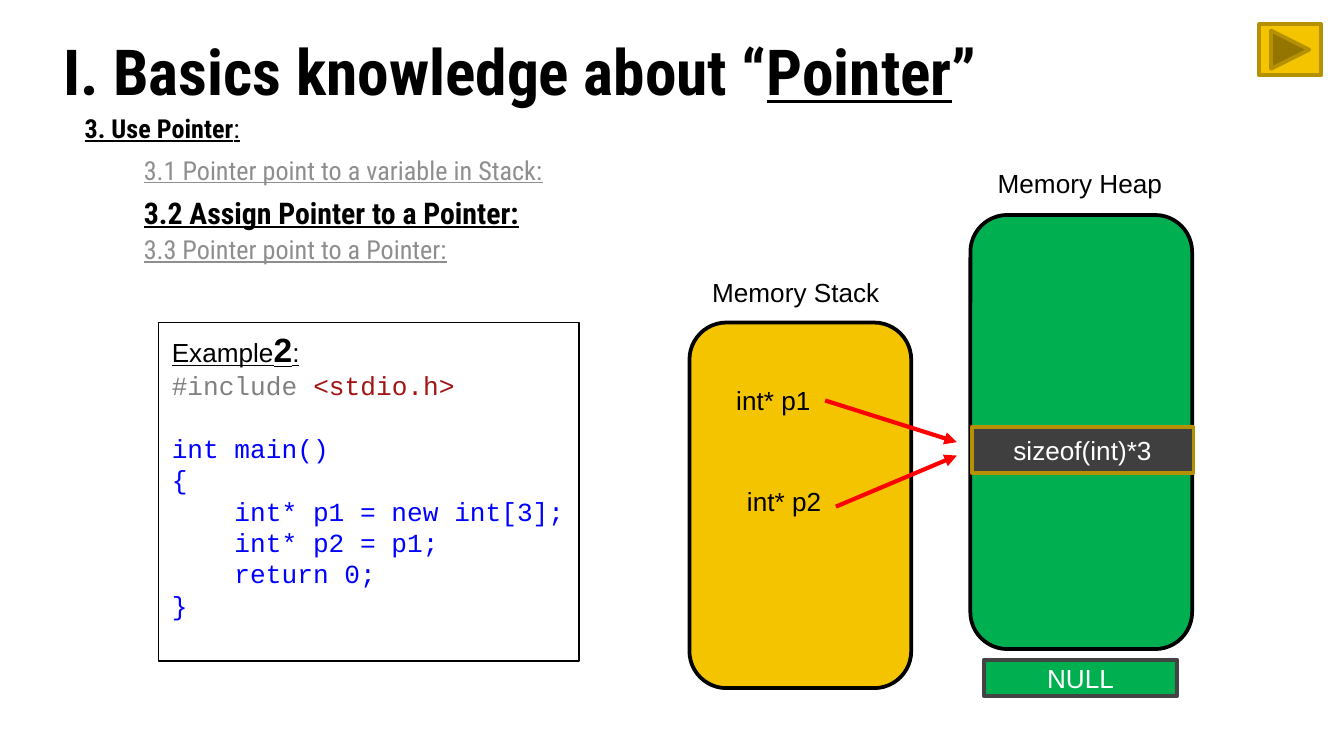
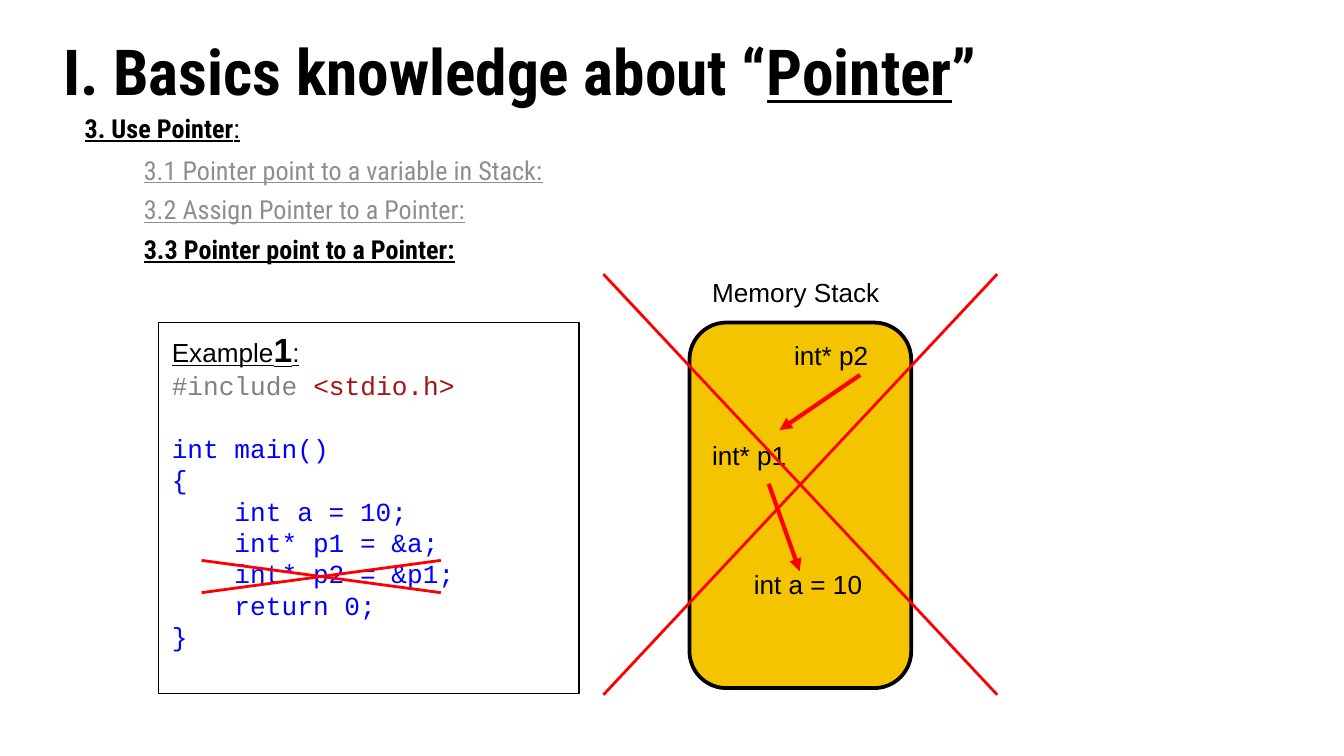
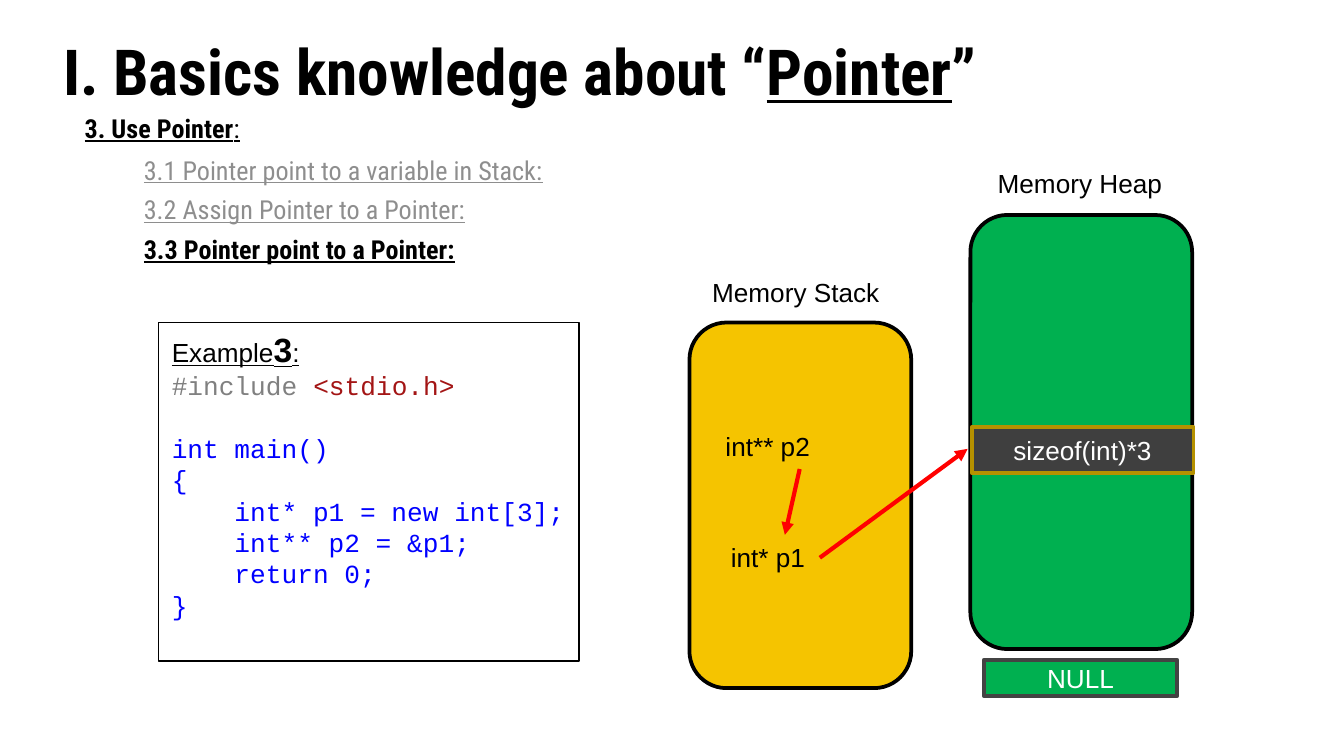
from dataclasses import dataclass

import pptx
import pptx.dml.color
import pptx.enum.shapes
import pptx.enum.text
import pptx.oxml
import pptx.oxml.ns
import pptx.util
from pptx.util import Inches

SHAPE = pptx.enum.shapes.MSO_SHAPE
ALIGN = pptx.enum.text.PP_ALIGN
ANCHOR = pptx.enum.text.MSO_ANCHOR
AUTO_SIZE = pptx.enum.text.MSO_AUTO_SIZE

# Shared look
BLACK, WHITE, GRAY, RED = "000000", "FFFFFF", "8E8E8E", "FF0000"
YELLOW, GREEN, GOLD = "F5C400", "00B050", "B59100"
CHARCOAL, BLOCK_FILL = "434343", "3F3F3F"
CODE_BLUE, CODE_GRAY, CODE_RED = "0000FF", "808080", "A31515"
HEADING_FONT, BODY_FONT, CODE_FONT = "Roboto Condensed", "Arial", "Courier New"
BODY_SIZE = 14
CODE_LINE_POINTS = 16.8
TOPICS = ["3.1 Pointer point to a variable in Stack:",
          "3.2 Assign Pointer to a Pointer:",
          "3.3 Pointer point to a Pointer:"]
TOPIC_WIDTHS = [3.31, 3.31, 2.7]


@dataclass
class Box:
    left: float
    top: float
    width: float
    height: float

    def lengths(self) -> tuple:
        return tuple(Inches(value) for value in (self.left, self.top, self.width, self.height))


@dataclass
class Line:
    start: tuple[float, float]
    end: tuple[float, float]


@dataclass
class Label:
    text: str
    box: Box
    align: ALIGN = ALIGN.LEFT


@dataclass
class Lesson:
    topic: int
    topic_size: int
    example: str
    code_height: float
    body: list[str]
    variables: list[Label]
    arrows: list[Line]
    crosses: list[Box]
    has_heap: bool = True
    has_next_button: bool = False


def variable(text: str, left: float, top: float, width: float = 0.76) -> Label:
    return Label(text, Box(left, top, width, 0.34))


LESSONS = [
    Lesson(1, 16, "2", 2.52, ["int* p1 = new int[3];", "int* p2 = p1;"],
           [variable("int* p1", 5.38, 2.81), variable("int* p2", 5.46, 3.56)],
           [Line((6.14, 2.98), (7.12, 3.29)), Line((6.22, 3.77), (7.12, 3.39))],
           [], has_next_button=True),
    Lesson(2, 14, "1", 2.76, ["int a = 10;", "int* p1 = &a;", "int* p2 = &p1;"],
           [variable("int a = 10", 5.51, 4.18, 1.11), variable("int* p1", 5.2, 3.22),
            variable("int* p2", 5.81, 2.48)],
           [Line((5.72, 3.6), (5.95, 4.25)), Line((6.4, 2.79), (5.8, 3.2))],
           [Box(1.5, 4.17, 1.78, 0.24), Box(4.49, 2.04, 2.93, 3.13)], has_heap=False),
    Lesson(2, 14, "3", 2.52, ["int* p1 = new int[3];", "int** p2 = &p1;"],
           [variable("int* p1", 5.34, 3.98), variable("int** p2", 5.3, 3.15, 0.83)],
           [Line((6.1, 4.15), (7.2, 3.34)), Line((5.95, 3.49), (5.84, 3.98))], []),
]


def color(value: str) -> pptx.dml.color.RGBColor:
    return pptx.dml.color.RGBColor.from_string(value)


def set_font(font, name: str, size: float, value: str,
             bold: bool = False, underline: bool = False) -> None:
    font.name = name
    font.size = pptx.util.Pt(size)
    font.color.rgb = color(value)
    font.bold = bold
    font.underline = underline


def add_run(paragraph, text: str, *style) -> None:
    run = paragraph.add_run()
    run.text = text
    set_font(run.font, *style)


def set_heading_frame(frame) -> None:
    frame.word_wrap = True
    frame.auto_size = AUTO_SIZE.NONE
    frame.margin_left = frame.margin_right = Inches(0.07)
    frame.margin_top = frame.margin_bottom = Inches(0.04)


def add_title(slide) -> None:
    title = slide.shapes.title
    title.left, title.top, title.width, title.height = Box(0.4, 0.26, 8.19, 0.59).lengths()
    set_heading_frame(title.text_frame)
    title.text_frame.vertical_anchor = ANCHOR.MIDDLE
    paragraph = title.text_frame.paragraphs[0]
    paragraph.alignment = ALIGN.LEFT
    paragraph.line_spacing = 0.9
    for text, underline in (("I. Basics knowledge about “", False), ("Pointer", True), ("”", False)):
        add_run(paragraph, text, HEADING_FONT, 34, BLACK, True, underline)


def add_heading(slide, box: Box):
    frame = slide.shapes.add_textbox(*box.lengths()).text_frame
    set_heading_frame(frame)
    paragraph = frame.paragraphs[0]
    paragraph.alignment = ALIGN.JUSTIFY
    paragraph.line_spacing = 1.15
    return paragraph


def add_outline(slide, lesson: Lesson) -> None:
    section = add_heading(slide, Box(0.56, 0.76, 1.44, 0.38))
    add_run(section, "3. Use Pointer", HEADING_FONT, BODY_SIZE, BLACK, True, True)
    add_run(section, ":", HEADING_FONT, BODY_SIZE, BLACK, False, True)
    for index, (topic, width) in enumerate(zip(TOPICS, TOPIC_WIDTHS)):
        paragraph = add_heading(slide, Box(1, 1.07 + index * 0.295, width, 0.38))
        paragraph.text = topic
        current = index == lesson.topic
        set_font(paragraph.font, HEADING_FONT, lesson.topic_size if current else BODY_SIZE,
                 BLACK if current else GRAY, current, True)


def add_label(slide, label: Label, wrap: bool = False) -> None:
    frame = slide.shapes.add_textbox(*label.box.lengths()).text_frame
    frame.word_wrap = wrap
    frame.auto_size = AUTO_SIZE.SHAPE_TO_FIT_TEXT
    paragraph = frame.paragraphs[0]
    paragraph.text = label.text
    paragraph.alignment = label.align
    set_font(paragraph.font, BODY_FONT, BODY_SIZE, BLACK)


def add_block(slide, kind: SHAPE, box: Box, fill: str | None, line: str,
              line_width: float = 2, text: str = ""):
    shape = slide.shapes.add_shape(kind, *box.lengths())
    shape.shadow.inherit = False
    if fill:
        shape.fill.solid()
        shape.fill.fore_color.rgb = color(fill)
    else:
        shape.fill.background()
    shape.line.color.rgb = color(line)
    shape.line.width = pptx.util.Pt(line_width)
    if text:
        shape.text_frame.vertical_anchor = ANCHOR.MIDDLE
        paragraph = shape.text_frame.paragraphs[0]
        paragraph.text = text
        paragraph.alignment = ALIGN.CENTER
        set_font(paragraph.font, BODY_FONT, BODY_SIZE, WHITE)
    return shape


def add_code(slide, lesson: Lesson) -> None:
    box = add_block(slide, SHAPE.RECTANGLE, Box(1.18, 2.4, 3.13, lesson.code_height),
                    None, BLACK, 0.75)
    frame = box.text_frame
    frame.word_wrap = True
    frame.auto_size = AUTO_SIZE.NONE
    frame.margin_right = 0
    frame.vertical_anchor = ANCHOR.TOP

    heading = frame.paragraphs[0]
    add_run(heading, "Example", BODY_FONT, BODY_SIZE, BLACK, False, True)
    add_run(heading, lesson.example, BODY_FONT, 18, BLACK, True, True)
    add_run(heading, ":", BODY_FONT, BODY_SIZE, BLACK, False, True)

    include = frame.add_paragraph()
    add_run(include, "#include ", CODE_FONT, BODY_SIZE, CODE_GRAY)
    add_run(include, "<stdio.h>", CODE_FONT, BODY_SIZE, CODE_RED)

    statements = [f"    {statement}" for statement in [*lesson.body, "return 0;"]]
    for text in ["int main()", "{", *statements, "}"]:
        paragraph = frame.add_paragraph()
        paragraph.text = text
        set_font(paragraph.font, CODE_FONT, BODY_SIZE, CODE_BLUE)
        if text == "int main()":
            paragraph.space_before = pptx.util.Pt(CODE_LINE_POINTS)
    for paragraph in frame.paragraphs:
        paragraph.alignment = ALIGN.LEFT


def add_line(shapes, line: Line, width: float, arrow: bool = False) -> None:
    points = [Inches(value) for value in (*line.start, *line.end)]
    connector = shapes.add_connector(pptx.enum.shapes.MSO_CONNECTOR.STRAIGHT, *points)
    connector.line.color.rgb = color(RED)
    connector.line.width = pptx.util.Pt(width)
    properties = connector.element.spPr
    if arrow:
        tail = pptx.oxml.parse_xml(
            f'<a:tailEnd {pptx.oxml.ns.nsdecls("a")} type="triangle"/>')
        properties.find(pptx.oxml.ns.qn("a:ln")).append(tail)
    properties.append(pptx.oxml.parse_xml(f'<a:effectLst {pptx.oxml.ns.nsdecls("a")}/>'))


def add_cross(slide, box: Box) -> None:
    group = slide.shapes.add_group_shape()
    right, bottom = box.left + box.width, box.top + box.height
    add_line(group.shapes, Line((box.left, box.top), (right, bottom)), 1.5)
    add_line(group.shapes, Line((box.left, bottom), (right, box.top)), 1.5)


def add_stack(slide) -> None:
    add_block(slide, SHAPE.ROUNDED_RECTANGLE, Box(5.13, 2.4, 1.65, 2.72), YELLOW, BLACK)
    add_label(slide, Label("Memory Stack", Box(5.2, 2.01, 1.51, 0.34)), wrap=True)


def add_heap(slide) -> None:
    add_block(slide, SHAPE.ROUNDED_RECTANGLE, Box(7.22, 1.6, 1.65, 3.23), GREEN, BLACK)
    add_label(slide, Label("Memory Heap", Box(7.28, 1.2, 1.51, 0.34), ALIGN.CENTER), wrap=True)
    add_block(slide, SHAPE.RECTANGLE, Box(7.32, 4.91, 1.44, 0.27), GREEN, CHARCOAL, text="NULL")
    add_block(slide, SHAPE.RECTANGLE, Box(7.23, 3.18, 1.65, 0.34), BLOCK_FILL, GOLD,
              text="sizeof(int)*3")


def add_lesson(presentation, lesson: Lesson) -> None:
    slide = presentation.slides.add_slide(presentation.slide_layouts[5])
    add_title(slide)
    add_outline(slide, lesson)
    add_code(slide, lesson)

    # Memory diagram
    add_stack(slide)
    if lesson.has_heap:
        add_heap(slide)
    for label in lesson.variables:
        add_label(slide, label)
    for arrow in lesson.arrows:
        add_line(slide.shapes, arrow, 2.25, arrow=True)

    # Invalid parts and navigation
    for cross in lesson.crosses:
        add_cross(slide, cross)
    if lesson.has_next_button:
        add_block(slide, SHAPE.ACTION_BUTTON_FORWARD_OR_NEXT, Box(9.37, 0.18, 0.46, 0.38),
                  YELLOW, GOLD)


def main() -> None:
    presentation = pptx.Presentation()
    presentation.slide_width = Inches(10)
    presentation.slide_height = Inches(10 * 9 / 16)
    for lesson in LESSONS:
        add_lesson(presentation, lesson)
    presentation.save("out.pptx")


if __name__ == "__main__":
    main()
